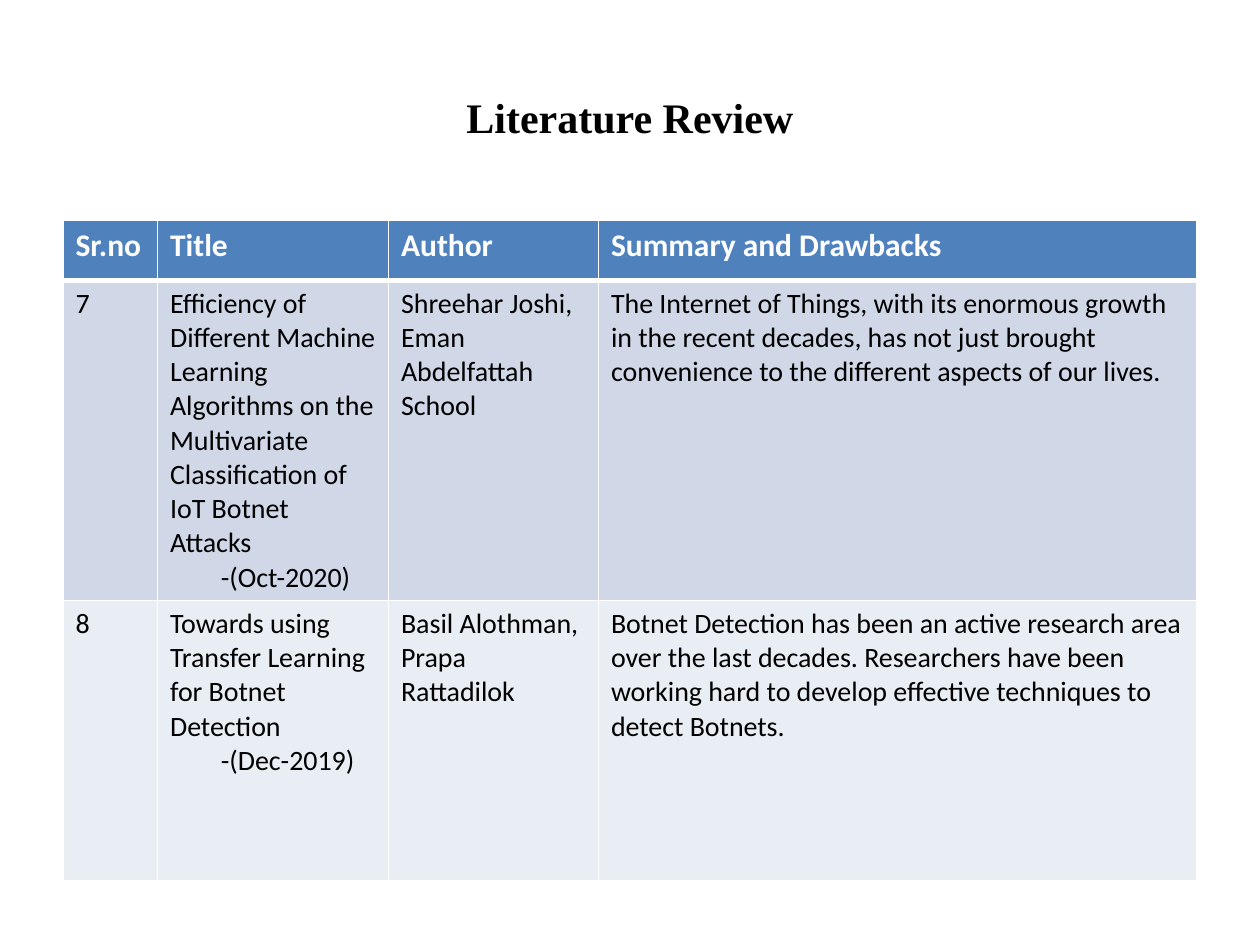
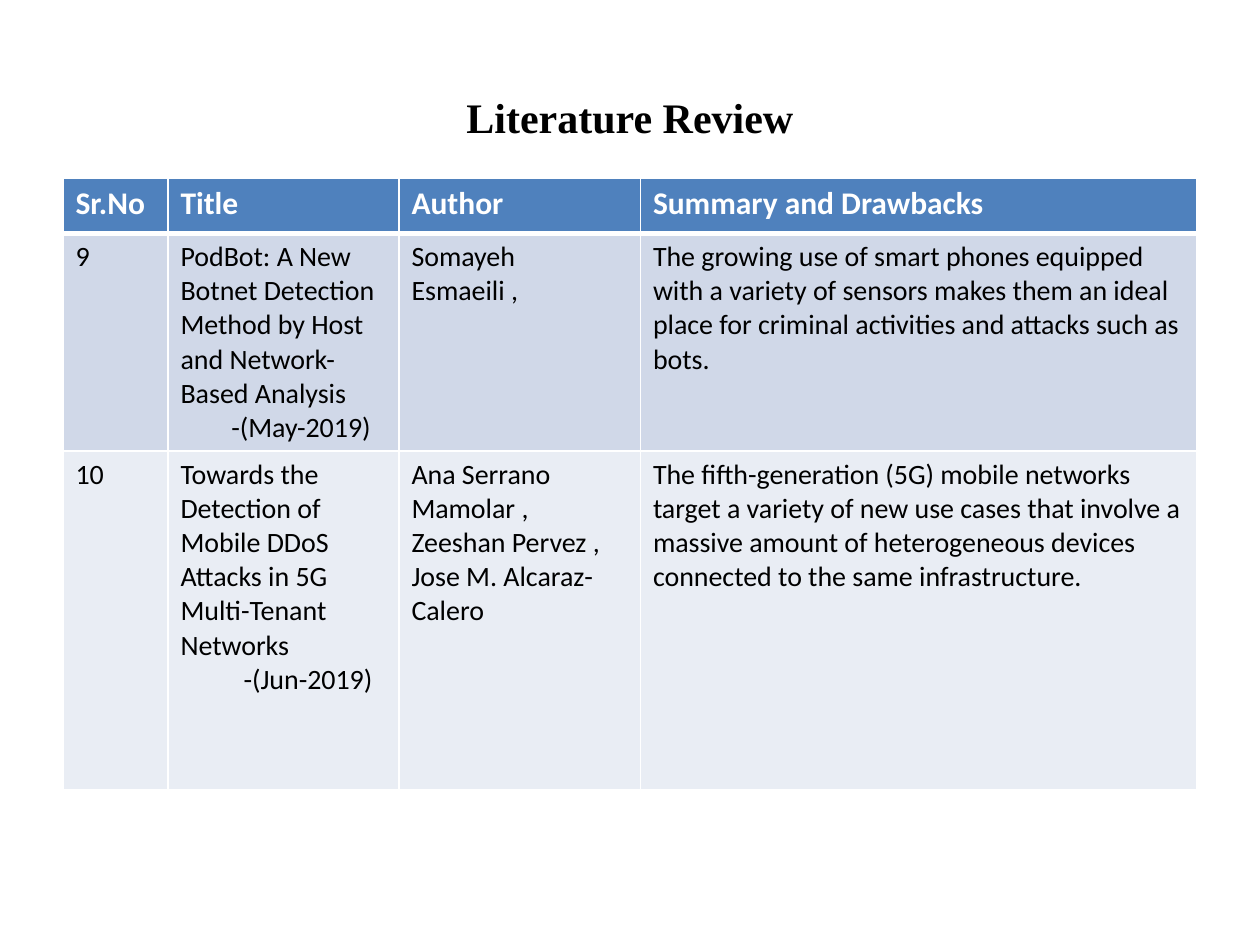
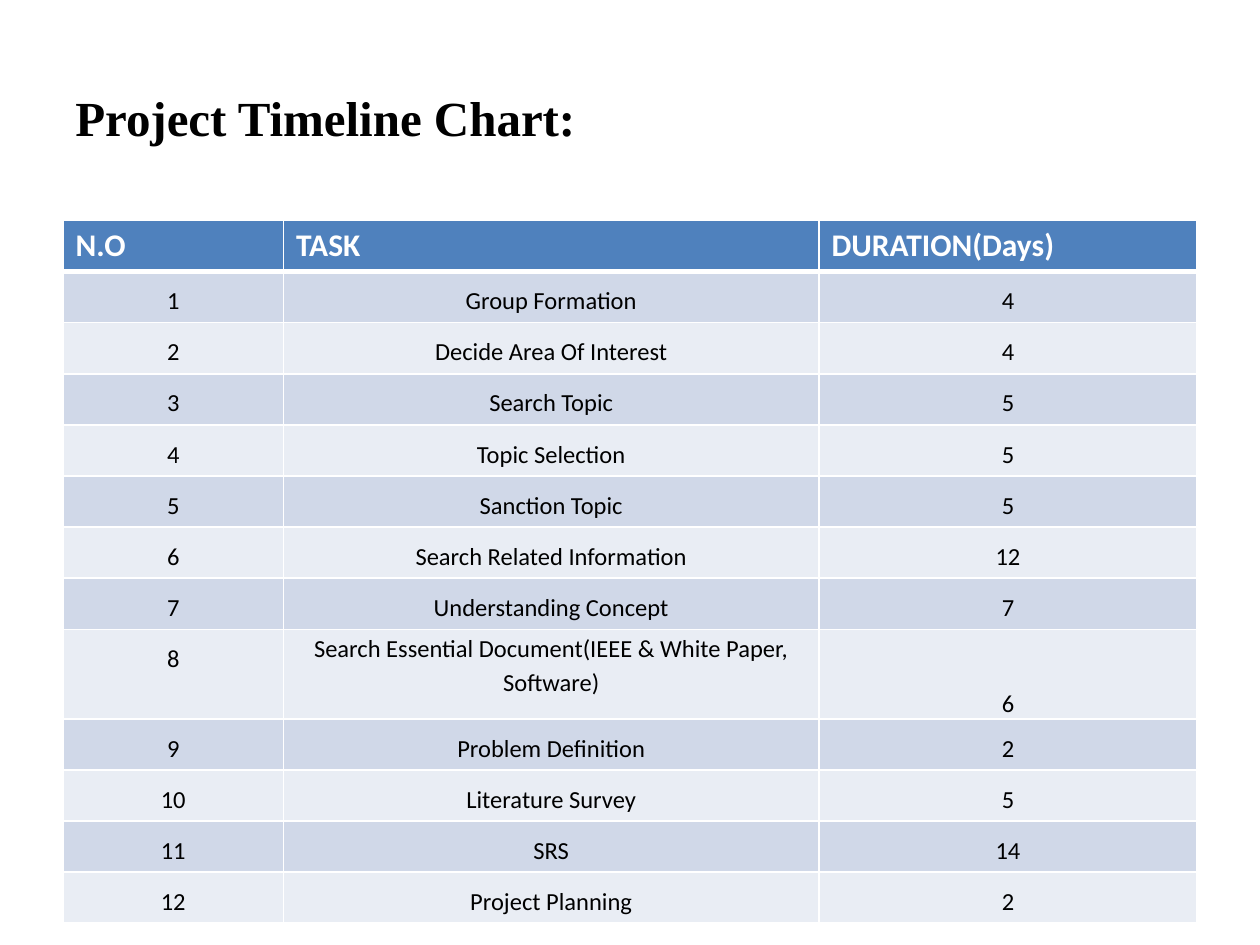
from lxml.etree import SubElement
from pptx import Presentation
from pptx.dml.color import RGBColor
from pptx.enum.text import MSO_ANCHOR, PP_ALIGN
from pptx.oxml.ns import qn
from pptx.util import Pt

# Shared style
WHITE, BLACK = "FFFFFF", "000000"
HEAD, BANDS = "4F81BD", ("D0D8E8", "E9EDF4")
SERIF, SANS = "Times New Roman", "Calibri"
LEFT, WIDTH = 36, 648
LINE = 25.6  # one 14 pt line at 1.5 spacing


def color(code):
    return RGBColor.from_string(code)


def write(frame, text, size=16, font=SANS, ink=BLACK, bold=False,
          align=PP_ALIGN.LEFT, space=None, indent=0):
    """Fill a frame; each line is a paragraph, and indent moves later ones."""
    frame.word_wrap = True
    for i, line in enumerate(text.split("\n")):
        para = frame.paragraphs[0] if i == 0 else frame.add_paragraph()
        para.alignment = align
        if space:
            para.line_spacing = space
        if i and indent:
            para._p.get_or_add_pPr().set("marL", str(Pt(indent)))
        run = para.add_run()
        run.text = line
        run.font.size, run.font.name, run.font.bold = Pt(size), font, bold
        run.font.color.rgb = color(ink)


class Deck:
    def __init__(self):
        self.file = Presentation()
        self.file.slide_width, self.file.slide_height = Pt(720), Pt(540)
        self.slide = None

    def page(self, title, size=24, align=PP_ALIGN.CENTER):
        """Start a slide with its title."""
        self.slide = self.file.slides.add_slide(self.file.slide_layouts[6])
        box = self.slide.shapes.add_textbox(Pt(LEFT), Pt(21.6), Pt(WIDTH), Pt(90))
        box.text_frame.vertical_anchor = MSO_ANCHOR.MIDDLE
        write(box.text_frame, title, size=size, font=SERIF, bold=True, align=align)

    def table(self, top, cols, rows, head):
        """Add a banded table with its header row."""
        grid = self.slide.shapes.add_table(
            len(rows), len(cols), Pt(LEFT), Pt(top), Pt(WIDTH), Pt(sum(rows))).table
        grid.first_row = grid.horz_banding = False
        for col, width in zip(grid.columns, cols):
            col.width = Pt(width)
        for r, height in enumerate(rows):
            grid.rows[r].height = Pt(height)
            for cell in grid.rows[r].cells:
                self.edge(cell, top=3 if r == 1 else 1, base=1 if r else 3)
                cell.fill.solid()
                cell.fill.fore_color.rgb = color(BANDS[(r - 1) % 2] if r else HEAD)
        for cell, text in zip(grid.rows[0].cells, head):
            write(cell.text_frame, text, size=18, ink=WHITE, bold=True)
        return grid

    def edge(self, cell, top, base):
        """Draw white borders around a cell."""
        props = cell._tc.get_or_add_tcPr()
        for tag, width in (("lnL", 1), ("lnR", 1), ("lnT", top), ("lnB", base)):
            line = SubElement(props, qn(f"a:{tag}"), w=str(Pt(width)))
            fill = SubElement(line, qn("a:solidFill"))
            SubElement(fill, qn("a:srgbClr"), val=WHITE)

    def review(self, top, cols, rows, label, papers, dents):
        """Add a slide of reviewed papers."""
        self.page("Literature Review")
        grid = self.table(top, cols, rows,
                          (label, "Title", "Author", "Summary and Drawbacks"))
        for r, (paper, dent) in enumerate(zip(papers, dents), 1):
            for cell, text in zip(grid.rows[r].cells, paper):
                write(cell.text_frame, text, indent=dent)

    def plan(self, tasks):
        """Add the timeline slide."""
        self.page("Project Timeline Chart:", size=28, align=PP_ALIGN.LEFT)
        rows = [29.2] + [2 * LINE if len(task) > 40 else 29.2 for task, _ in tasks]
        grid = self.table(126, (126, 306, 216), rows,
                          ("N.O", "TASK", "DURATION(Days)"))
        for r, (task, days) in enumerate(tasks, 1):
            long = len(task) > 40
            for c, text in enumerate((str(r), task, str(days))):
                cell = grid.cell(r, c)
                cell.margin_left = cell.margin_right = Pt(4.5)
                # The duration of a long task sits on its second line
                cell.margin_top = Pt(LINE if long and c == 2 else 0)
                cell.margin_bottom = Pt(0)
                write(cell.text_frame, text, size=14, align=PP_ALIGN.CENTER,
                      space=1.15 if long and c == 1 else 1.5)


EARLY = (
    ("7",
     "Efficiency of Different Machine Learning Algorithms on the Multivariate "
     "Classification of IoT Botnet Attacks\n-(Oct-2020)",
     "Shreehar Joshi, Eman Abdelfattah School",
     "The Internet of Things, with its enormous growth in the recent decades, has "
     "not just brought convenience to the different aspects of our lives."),
    ("8",
     "Towards using Transfer Learning for Botnet Detection\n-(Dec-2019)",
     "Basil Alothman, Prapa Rattadilok",
     "Botnet Detection has been an active research area over the last decades. "
     "Researchers have been working hard to develop effective techniques to "
     "detect Botnets."),
)
LATE = (
    ("9",
     "PodBot: A New Botnet Detection Method by Host and Network-Based Analysis"
     "\n-(May-2019)",
     "Somayeh Esmaeili ,",
     "The growing use of smart phones equipped with a variety of sensors makes "
     "them an ideal place for criminal activities and attacks such as bots."),
    ("10",
     "Towards the Detection of Mobile DDoS Attacks in 5G Multi-Tenant Networks"
     "\n-(Jun-2019)",
     "Ana Serrano Mamolar , Zeeshan Pervez , Jose M. Alcaraz-Calero",
     "The ﬁfth-generation (5G) mobile networks target a variety of new use cases "
     "that involve a massive amount of heterogeneous devices connected to the "
     "same infrastructure."),
)
TASKS = (
    ("Group Formation", 4),
    ("Decide Area Of Interest", 4),
    ("Search Topic", 5),
    ("Topic Selection", 5),
    ("Sanction Topic", 5),
    ("Search Related Information", 12),
    ("Understanding Concept", 7),
    ("Search Essential Document(IEEE & White Paper, Software)", 6),
    ("Problem Definition", 2),
    ("Literature Survey", 5),
    ("SRS", 14),
    ("Project Planning", 2),
)


def main():
    deck = Deck()
    deck.review(126, (54, 132, 120, 342), (34.2, 183, 160), "Sr.no", EARLY, (29, 29))
    deck.review(102, (60, 132, 138, 318), (31.4, 124.4, 193.7), "Sr.No", LATE, (29, 36))
    deck.plan(TASKS)
    deck.file.save("out.pptx")


if __name__ == "__main__":
    main()
